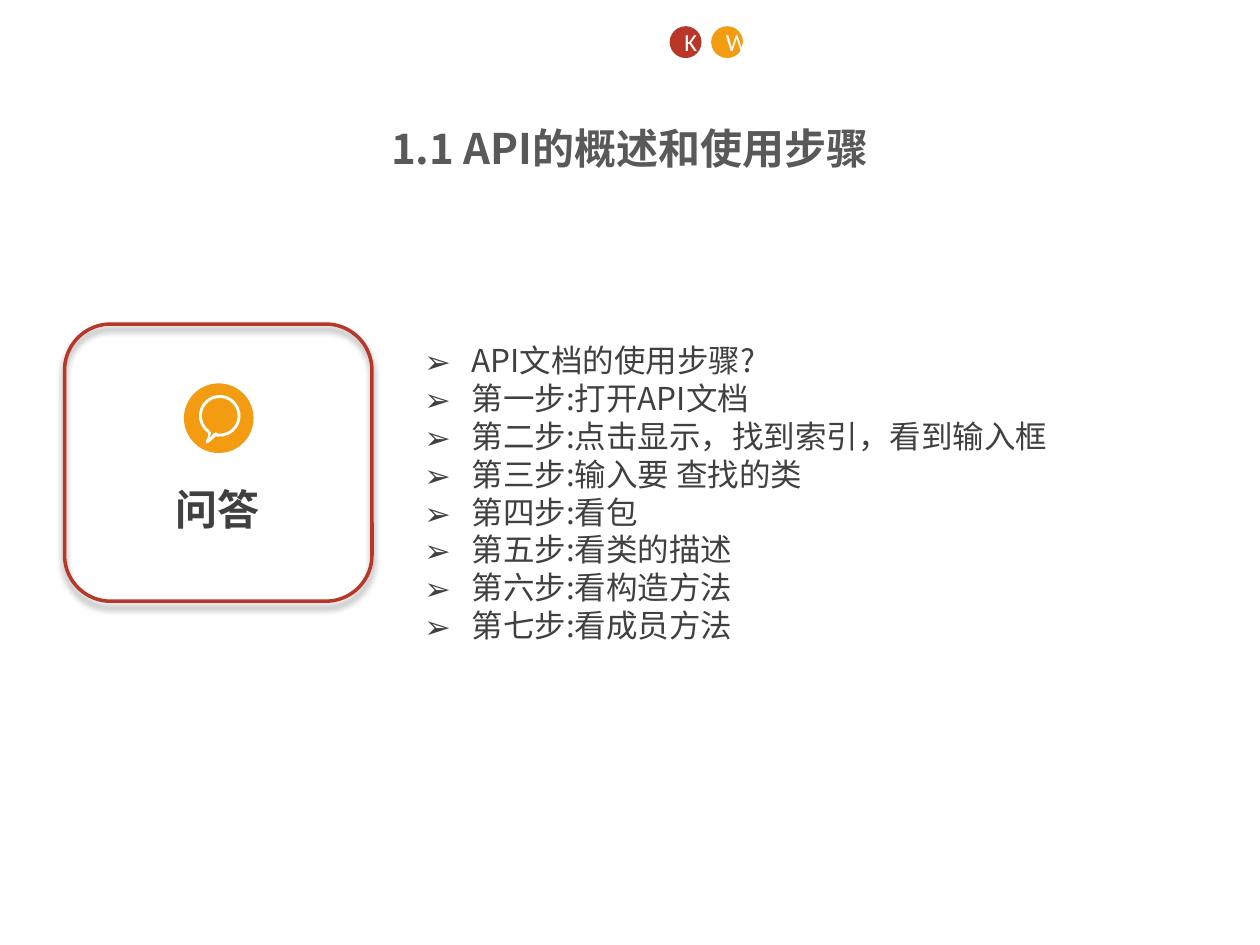
from math import cos, radians, sin

from lxml import etree
from pptx import Presentation
from pptx.dml.color import RGBColor
from pptx.enum.shapes import MSO_SHAPE
from pptx.enum.text import MSO_ANCHOR, PP_ALIGN
from pptx.oxml import parse_xml
from pptx.oxml.ns import nsdecls, qn
from pptx.util import Pt

ELLIPSE, ROUNDED = MSO_SHAPE.OVAL, MSO_SHAPE.ROUNDED_RECTANGLE
TOP, MIDDLE = MSO_ANCHOR.TOP, MSO_ANCHOR.MIDDLE
LEFT, CENTER = PP_ALIGN.LEFT, PP_ALIGN.CENTER
COLORS = {"red": "B83729", "orange": "F39C12", "white": "FFFFFF",
          "title": "595959", "body": "404040"}
CHINESE_FONT, LATIN_FONT = "Noto Sans CJK SC", "Calibri"
STEPS = ["API文档的使用步骤?", "第一步:打开API文档", "第二步:点击显示，找到索引，看到输入框",
         "第三步:输入要 查找的类", "第四步:看包", "第五步:看类的描述",
         "第六步:看构造方法", "第七步:看成员方法"]


def color(name):
    return RGBColor.from_string(COLORS[name])


def add_run(paragraph, text, size, color_name, font=CHINESE_FONT, bold=False):
    run = paragraph.add_run()
    run.text = text
    run.font.size, run.font.bold, run.font.name = Pt(size), bold, font
    run.font.color.rgb = color(color_name)
    east_asian = etree.SubElement(run.font._element, qn("a:ea"))
    east_asian.set("typeface", font)


def set_frame(frame, anchor):
    frame.word_wrap = True
    frame.vertical_anchor = anchor
    frame.margin_left = frame.margin_right = Pt(7.2)
    frame.margin_top = frame.margin_bottom = Pt(3.6)


def fill_plain(shape, fill):
    shape.shadow.inherit = False
    shape.fill.solid()
    shape.fill.fore_color.rgb = color(fill)
    shape.line.fill.background()


def add_circle(shapes, left, top, size, fill):
    circle = shapes.add_shape(ELLIPSE, Pt(left), Pt(top), Pt(size), Pt(size))
    fill_plain(circle, fill)
    return circle


def add_title(slide, left, top, width, height):
    title = slide.shapes.title
    title.left, title.top, title.width, title.height = Pt(left), Pt(top), Pt(width), Pt(height)
    set_frame(title.text_frame, TOP)
    paragraph = title.text_frame.paragraphs[0]
    paragraph.alignment = CENTER
    add_run(paragraph, "1.1 API的概述和使用步骤", 24, "title", bold=True)


def add_badges(slide, left, top, size, pitch):
    for index, (letter, fill) in enumerate([("K", "red"), ("W", "orange")]):
        badge = add_circle(slide.shapes, left + index * pitch, top, size, fill)
        set_frame(badge.text_frame, MIDDLE)
        paragraph = badge.text_frame.paragraphs[0]
        paragraph.alignment = CENTER
        add_run(paragraph, letter, 14, "white", LATIN_FONT)


def add_bubble(shapes, center_x, center_y, radius):
    """Draw a ring with a tail at its lower left."""
    def contour(scale, tail):
        arc = [(scale * cos(radians(angle)), scale * sin(radians(angle)))
               for angle in range(125, 456, 15)]
        return [(Pt(center_x + x * radius), Pt(center_y + y * radius)) for x, y in arc + tail]

    outer = contour(1, [(-0.18, 0.98), (-0.45, 1.22), (-0.62, 1.33), (-0.67, 1.22), (-0.55, 0.97)])
    inner = contour(0.86, [(-0.18, 0.8), (-0.3, 0.85), (-0.48, 1.08), (-0.42, 0.82)])[::-1]
    builder = shapes.build_freeform(*outer[0])
    builder.add_line_segments(outer[1:])
    builder.move_to(*inner[0])
    builder.add_line_segments(inner[1:])
    fill_plain(builder.convert_to_shape(), "white")


def add_question_card(slide, left, top, width, height):
    shapes = slide.shapes.add_group_shape().shapes

    # Outlined card with a soft shadow below
    card = shapes.add_shape(ROUNDED, Pt(left), Pt(top), Pt(width), Pt(height))
    card.fill.background()
    card.line.color.rgb = color("red")
    card.line.width = Pt(2)
    card._element.spPr.append(parse_xml(
        f'<a:effectLst {nsdecls("a")}><a:outerShdw blurRad="{Pt(4)}" dist="{Pt(3)}" '
        'dir="5400000" rotWithShape="0"><a:srgbClr val="000000"><a:alpha val="40000"/>'
        '</a:srgbClr></a:outerShdw></a:effectLst>'))

    # Icon
    add_circle(shapes, left + 68.2, top + 33.9, 39.8, "orange")
    add_bubble(shapes, left + 88.7, top + 52.4, 11.9)

    # Label
    label = shapes.add_textbox(Pt(left + 56.6), Pt(top + 90.7), Pt(62.6), Pt(32.4))
    set_frame(label.text_frame, TOP)
    paragraph = label.text_frame.paragraphs[0]
    paragraph.line_spacing = 0.9
    add_run(paragraph, "问答", 24, "body", bold=True)


def add_steps(slide, left, top, width, height):
    box = slide.shapes.add_textbox(Pt(left), Pt(top), Pt(width), Pt(height))
    set_frame(box.text_frame, TOP)
    for index, step in enumerate(STEPS):
        paragraph = box.text_frame.paragraphs[0] if index == 0 else box.text_frame.add_paragraph()
        paragraph.alignment = LEFT
        properties = paragraph._p.get_or_add_pPr()
        properties.set("marL", str(Pt(27)))
        properties.set("indent", str(-Pt(27)))
        etree.SubElement(properties, qn("a:buFont")).set("typeface", CHINESE_FONT)
        etree.SubElement(properties, qn("a:buChar")).set("char", "➢")
        add_run(paragraph, step, 18, "body")


presentation = Presentation()
presentation.slide_width, presentation.slide_height = Pt(720), Pt(540)
slide = presentation.slides.add_slide(presentation.slide_layouts[5])
add_steps(slide, 235.4, 191.5, 458.6, 181.4)
add_title(slide, 0, 66.2, 720, 33.8)
add_badges(slide, 382.7, 15, 18.2, 23.7)
add_question_card(slide, 36.9, 185.2, 175.7, 158.4)
presentation.save("out.pptx")
